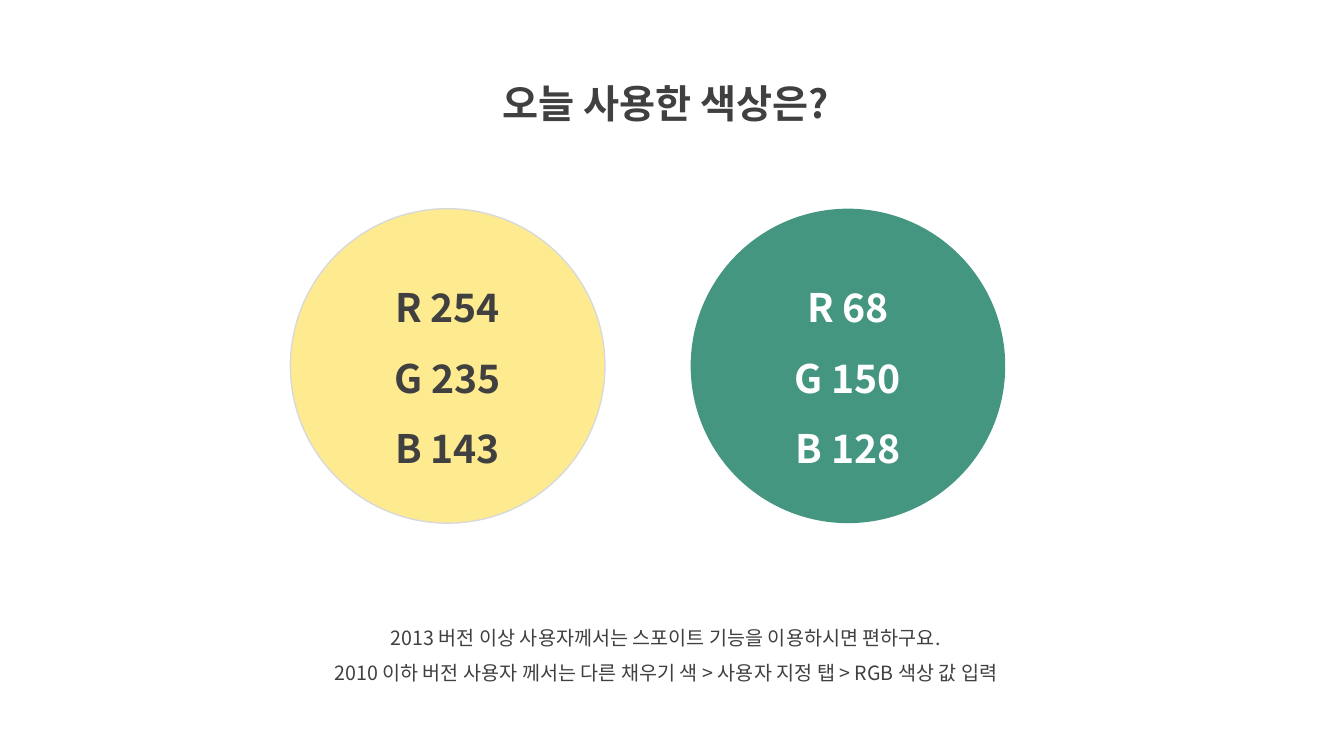
from dataclasses import dataclass

from lxml.etree import SubElement
from pptx import Presentation
from pptx.dml.color import RGBColor
from pptx.enum.shapes import MSO_SHAPE
from pptx.enum.text import MSO_ANCHOR, MSO_AUTO_SIZE, PP_ALIGN
from pptx.oxml.ns import qn
from pptx.util import Inches, Pt


@dataclass(frozen=True)
class Theme:
    font: str = "Noto Sans CJK KR"
    dark: RGBColor = RGBColor(64, 64, 64)
    white: RGBColor = RGBColor(255, 255, 255)
    outline: RGBColor = RGBColor(217, 217, 217)
    yellow: RGBColor = RGBColor(254, 235, 143)
    green: RGBColor = RGBColor(68, 150, 128)
    large: Pt = Pt(28)
    small: Pt = Pt(14)


theme = Theme()


def write_lines(frame, lines, size, color, bold=False):
    """Fill a text frame with centred lines at one-and-a-half spacing."""
    frame.word_wrap = True
    frame.text = "\n".join(lines)
    for para in frame.paragraphs:
        para.alignment = PP_ALIGN.CENTER
        para.line_spacing = 1.5
        para.font.name = theme.font
        para.font.size = size
        para.font.bold = bold
        para.font.color.rgb = color
        defaults = para._p.find(".//" + qn("a:defRPr"))
        SubElement(defaults, qn("a:ea"), typeface=theme.font)


def add_text(page, left, top, width, height, lines, size, bold=False):
    """Add a dark text box that grows with its lines."""
    box = page.shapes.add_textbox(
        Inches(left), Inches(top), Inches(width), Inches(height))
    write_lines(box.text_frame, lines, size, theme.dark, bold)
    box.text_frame.auto_size = MSO_AUTO_SIZE.SHAPE_TO_FIT_TEXT


deck = Presentation()
deck.slide_width = Inches(13.33)
deck.slide_height = Inches(7.5)
page = deck.slides.add_slide(deck.slide_layouts[6])

add_text(page, 4.29, 0.5, 4.63, 0.72, ["오늘 사용한 색상은?"], theme.large, bold=True)
add_text(page, 2.61, 6.04, 7.99, 0.81, [
    "2013 버전 이상 사용자께서는 스포이트 기능을 이용하시면 편하구요.",
    "2010 이하 버전 사용자 께서는 다른 채우기 색 > 사용자 지정 탭 > RGB 색상 값 입력",
], theme.small)

diameter = Inches(3.12)
swatches = [
    (2.88, theme.yellow, theme.dark, theme.outline),
    (6.85, theme.green, theme.white, None),
]
for left, fill, text_color, outline in swatches:
    circle = page.shapes.add_shape(
        MSO_SHAPE.OVAL, Inches(left), Inches(2.07), diameter, diameter)
    circle.shadow.inherit = False
    circle.fill.solid()
    circle.fill.fore_color.rgb = fill
    if outline:
        circle.line.color.rgb = outline
        circle.line.width = Pt(1)
    else:
        circle.line.fill.background()
    circle.text_frame.vertical_anchor = MSO_ANCHOR.MIDDLE
    channels = [f"{name} {value}" for name, value in zip("RGB", fill)]
    write_lines(circle.text_frame, channels, theme.large, text_color, bold=True)

deck.save("out.pptx")
